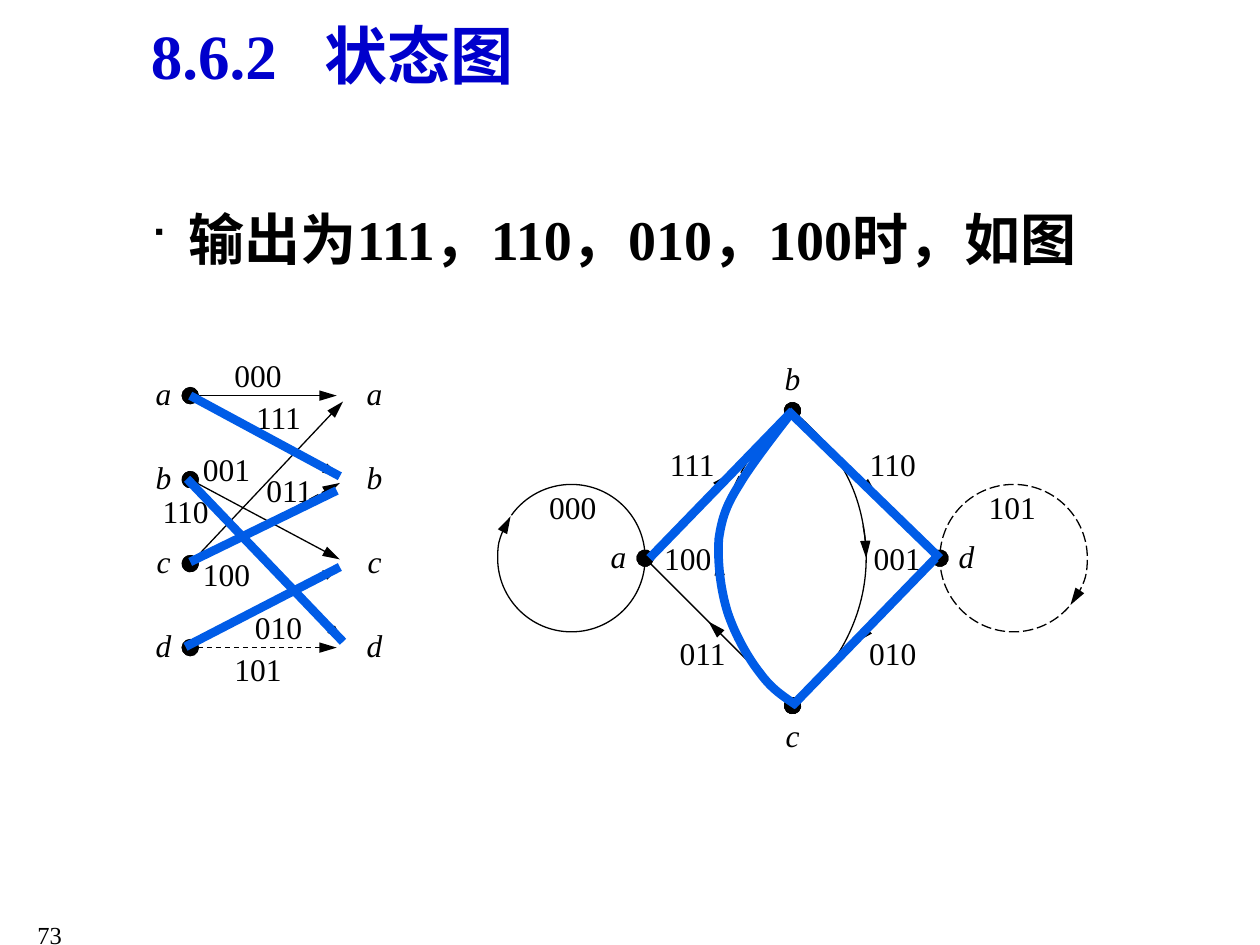
import math
from typing import NamedTuple

import pptx
import pptx.dml.color
import pptx.enum.dml
import pptx.enum.shapes
import pptx.enum.text
import pptx.oxml
import pptx.oxml.ns
import pptx.util
from lxml import etree

FONT = "Times New Roman"
BLACK, BLUE, PATH_BLUE = "000000", "0000CC", "005CE7"
SOLID = pptx.enum.dml.MSO_LINE.SOLID
DASH = pptx.enum.dml.MSO_LINE.DASH
LONG = pptx.enum.dml.MSO_LINE.LONG_DASH
Align = pptx.enum.text.PP_ALIGN
Anchor = pptx.enum.text.MSO_ANCHOR
Inches = pptx.util.Inches
qn = pptx.oxml.ns.qn
Point = tuple[float, float]


class Grid(NamedTuple):
    left: float
    top: float
    column: float
    row: float

    def at(self, point: Point) -> Point:
        return self.left + point[0] * self.column, self.top + point[1] * self.row


class Stroke(NamedTuple):
    dash: object = SOLID
    head: str = ""
    tail: str = ""
    color: str = BLACK
    width: float = 0.75


class Edge(NamedTuple):
    start: Point
    end: Point
    dash: object = SOLID


class Label(NamedTuple):
    text: str
    point: Point


class Arc(NamedTuple):
    center: Point
    radii: Point
    first: float
    last: float
    stroke: Stroke


TRELLIS = Grid(1.51, 3.14, 1.25, 2 / 3)
GRAPH = Grid(6.29, 4.43, 1.17, 1.17)
THICK = Stroke(color=PATH_BLUE, width=5)

TRELLIS_EDGES = [
    Edge((0, 0), (0.93, 0)), Edge((0, 3), (0.93, 3), DASH),
    Edge((0, 0), (0.95, 0.96), LONG), Edge((0, 1), (0.95, 1.95)),
    Edge((0, 3), (0.95, 2.04)), Edge((0, 2), (0.97, 0.07)),
    Edge((0, 1), (0.97, 2.93), LONG), Edge((0, 2), (0.95, 1.04), LONG),
]
TRELLIS_OUTPUTS = [
    Label("000", (0.43, -0.25)), Label("111", (0.56, 0.25)),
    Label("101", (0.43, 3.25)), Label("010", (0.56, 2.75)),
    Label("110", (-0.03, 1.37)), Label("100", (0.23, 2.12)),
    Label("011", (0.63, 1.12)), Label("001", (0.23, 0.87)),
]
TRELLIS_STATES = [Label(state, (column, row - 0.01)) for column in (-0.17, 1.17)
                  for row, state in enumerate("abcd")]
TRELLIS_PATH = [
    Edge((0, 0), (0.95, 0.96)), Edge((-0.02, 0.99), (0.97, 2.93)),
    Edge((-0.03, 2.99), (0.95, 2.04)), Edge((0, 1.98), (0.93, 1.13)),
]

A, B, C, D = (-1, 0), (0, -1), (0, 1), (1, 0)
GRAPH_EDGES = [Edge(A, B, LONG), Edge(B, D, LONG), Edge(D, C), Edge(C, A)]
BOW = (1.71, math.sqrt(2))
LOOP = (0.5, 0.5)
GRAPH_ARCS = [
    Arc((-1.21, 0), BOW, -45, 0, Stroke(head="oval", tail="triangle")),
    Arc((-1.21, 0), BOW, 45, -9, Stroke()),
    Arc((1.21, 0), BOW, 135, 180, Stroke(LONG, "oval", "triangle")),
    Arc((1.21, 0), BOW, 225, 171, Stroke(LONG)),
    Arc((-1.5, 0), LOOP, 215.5, 574.5, Stroke(tail="triangle")),
    Arc((1.5, 0), LOOP, 41.5, 399.5, Stroke(LONG, tail="triangle")),
]
GRAPH_OUTPUTS = [
    Label("000", (-1.49, -0.35)), Label("101", (1.49, -0.35)),
    Label("111", (-0.68, -0.64)), Label("110", (0.68, -0.64)),
    Label("100", (-0.71, 0)), Label("001", (0.71, 0)),
    Label("011", (-0.61, 0.64)), Label("010", (0.68, 0.64)),
]
GRAPH_STATES = [Label("a", (-1.18, 0)), Label("b", (0, -1.21)),
                Label("c", (0, 1.21)), Label("d", (1.18, 0))]
GRAPH_PATH = [Edge(B, (-0.97, 0)), Edge((0.97, 0), C), Edge((-0.03, -1), D)]
# Cubic curve from c to b: a start, then two controls and an end per piece.
RETURN_PATH = [
    (0.03, 1), (-0.06, 0.94), (-0.14, 0.89), (-0.22, 0.78),
    (-0.3, 0.68), (-0.39, 0.52), (-0.44, 0.37), (-0.49, 0.21),
    (-0.51, 0.02), (-0.5, -0.13), (-0.48, -0.27), (-0.45, -0.36),
    (-0.36, -0.5), (-0.28, -0.64), (-0.02, -0.97), (-0.02, -0.97),
]


def rgb(color: str) -> pptx.dml.color.RGBColor:
    return pptx.dml.color.RGBColor.from_string(color)


def apply_stroke(shape, stroke: Stroke) -> None:
    line = shape.line
    line.color.rgb = rgb(stroke.color)
    line.width = pptx.util.Pt(stroke.width)
    line.dash_style = stroke.dash
    for tag, kind in (("a:headEnd", stroke.head), ("a:tailEnd", stroke.tail)):
        if kind:
            end = etree.SubElement(line._get_or_add_ln(), qn(tag))
            end.set("type", kind)
            end.set("w", "lg" if kind == "oval" else "med")
            end.set("len", "lg")


def add_line(page, grid: Grid, start: Point, end: Point, stroke: Stroke) -> None:
    ends = [Inches(value) for point in (start, end) for value in grid.at(point)]
    line = page.shapes.add_connector(pptx.enum.shapes.MSO_CONNECTOR.STRAIGHT, *ends)
    apply_stroke(line, stroke)
    etree.SubElement(line._element.spPr, qn("a:effectLst"))


def add_curve(page, grid: Grid, controls: list[Point], stroke: Stroke) -> None:
    """Draw cubic pieces: each three points after the start become one Bezier."""
    spots = [tuple(Inches(value) for value in grid.at(point)) for point in controls]
    builder = page.shapes.build_freeform(*spots[0])
    builder.add_line_segments(spots[1:], close=False)
    curve = builder.convert_to_shape()
    segments = list(curve._element.iter(qn("a:lnTo")))
    for first in range(0, len(segments), 3):
        cubic = etree.Element(qn("a:cubicBezTo"))
        segments[first].addprevious(cubic)
        for segment in segments[first:first + 3]:
            cubic.append(segment[0])
            segment.getparent().remove(segment)
    curve.fill.background()
    curve.shadow.inherit = False
    apply_stroke(curve, stroke)


def arc_controls(arc: Arc) -> list[Point]:
    """Bezier points of an elliptic arc, cut at its extremes."""
    low, high = sorted((arc.first, arc.last))
    cuts = [low, *(a for a in range(-90, 631, 90) if low < a < high), high]
    angles = [math.radians(cut) for cut in (cuts if arc.first < arc.last else cuts[::-1])]

    def spot(angle: float, pull: float = 0) -> Point:
        x = math.cos(angle) - pull * math.sin(angle)
        y = math.sin(angle) + pull * math.cos(angle)
        return arc.center[0] + arc.radii[0] * x, arc.center[1] + arc.radii[1] * y

    points = [spot(angles[0])]
    for start, end in zip(angles, angles[1:]):
        pull = 4 / 3 * math.tan((end - start) / 4)
        points += [spot(start, pull), spot(end, -pull), spot(end)]
    return points


def between(edge: Edge, share: float) -> Point:
    return tuple(a + (b - a) * share for a, b in zip(edge.start, edge.end))


def add_span(para, text: str, size: float, color: str = BLACK,
             bold: bool = False, italic: bool = False) -> None:
    span = para.add_run()
    span.text = text
    font = span.font
    font.name, font.size, font.bold, font.italic = FONT, pptx.util.Pt(size), bold, italic
    font.color.rgb = rgb(color)


def add_box(page, left: float, top: float, width: float, height: float):
    return page.shapes.add_textbox(*map(Inches, (left, top, width, height))).text_frame


def add_label(page, grid: Grid, label: Label, is_state: bool) -> None:
    x, y = grid.at(label.point)
    width, height = (0.25 if is_state else 0.75), 0.33
    frame = add_box(page, x - width / 2, y - height / 2, width, height)
    frame.word_wrap = False
    if is_state:
        frame.margin_left = frame.margin_right = frame.margin_top = frame.margin_bottom = 0
    else:
        frame.vertical_anchor = Anchor.MIDDLE
    para = frame.paragraphs[0]
    para.alignment = Align.CENTER
    add_span(para, label.text, 18, italic=is_state)


def add_heading(page) -> None:
    title = page.shapes.title
    title.left, title.top, title.width, title.height = map(Inches, (0, 0.08, 5.27, 0.71))
    title.text_frame.auto_size = pptx.enum.text.MSO_AUTO_SIZE.NONE
    title.text_frame.vertical_anchor = Anchor.TOP
    para = title.text_frame.paragraphs[0]
    para.alignment = Align.CENTER
    add_span(para, "8.6.2   状态图", 36, BLUE, bold=True)


def add_statement(page) -> None:
    frame = add_box(page, 0.59, 1.57, 9.07, 0.61)
    frame.word_wrap = True
    para = frame.paragraphs[0]
    props = para._p.get_or_add_pPr()
    props.set("marL", str(Inches(0.81)))
    props.set("indent", str(Inches(-0.31)))
    for tag, name, value in (("a:buSzPct", "val", "75000"),
                             ("a:buFont", "typeface", "Wingdings"),
                             ("a:buChar", "char", "■")):
        etree.SubElement(props, qn(tag)).set(name, value)
    add_span(para, "输出为111，110，010，100时，如图", 32, bold=True)


def add_trellis(page) -> None:
    for edge in TRELLIS_EDGES:
        add_line(page, TRELLIS, edge.start, edge.end, Stroke(edge.dash, "oval", "triangle"))
    for row in range(4):
        add_line(page, TRELLIS, (1, row), (1, row), Stroke(head="oval"))


def add_graph(page) -> None:
    for edge in GRAPH_EDGES:
        add_line(page, GRAPH, edge.start, between(edge, 0.57),
                 Stroke(edge.dash, "oval", "triangle"))
        add_line(page, GRAPH, between(edge, 0.5), edge.end, Stroke(edge.dash, tail="oval"))
    for arc in GRAPH_ARCS:
        add_curve(page, GRAPH, arc_controls(arc), arc.stroke)


def main() -> None:
    deck = pptx.Presentation()
    deck.slide_width, deck.slide_height = Inches(10), Inches(7.5)
    page = deck.slides.add_slide(deck.slide_layouts[5])
    add_heading(page)
    add_statement(page)
    add_trellis(page)
    add_graph(page)
    for grid, outputs, states, path_edges in (
            (TRELLIS, TRELLIS_OUTPUTS, TRELLIS_STATES, TRELLIS_PATH),
            (GRAPH, GRAPH_OUTPUTS, GRAPH_STATES, GRAPH_PATH)):
        for label in outputs + states:
            add_label(page, grid, label, label in states)
        for edge in path_edges:
            add_line(page, grid, edge.start, edge.end, THICK)
    add_curve(page, GRAPH, RETURN_PATH, THICK)
    number = add_box(page, 0, 7.25, 0.59, 0.25).paragraphs[0]
    number.alignment = Align.RIGHT
    add_span(number, "73", 14)
    deck.save("out.pptx")


if __name__ == "__main__":
    main()
